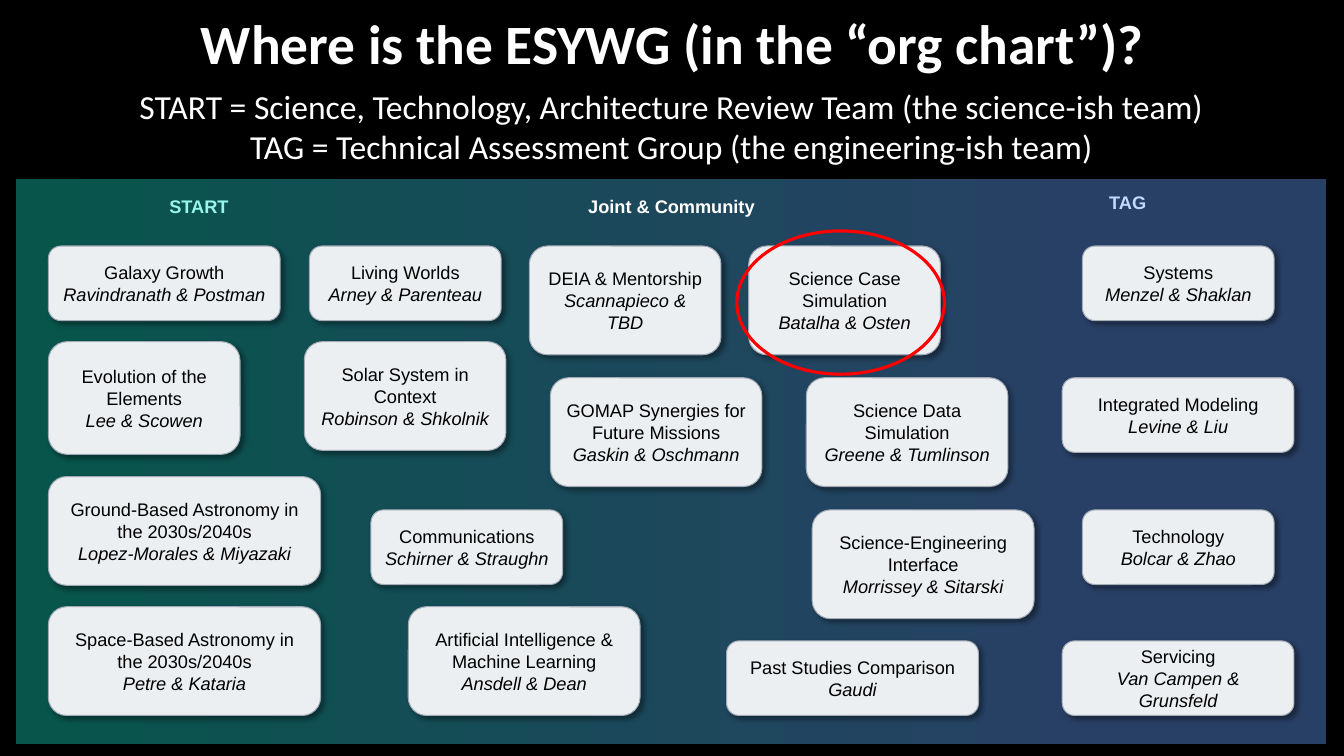
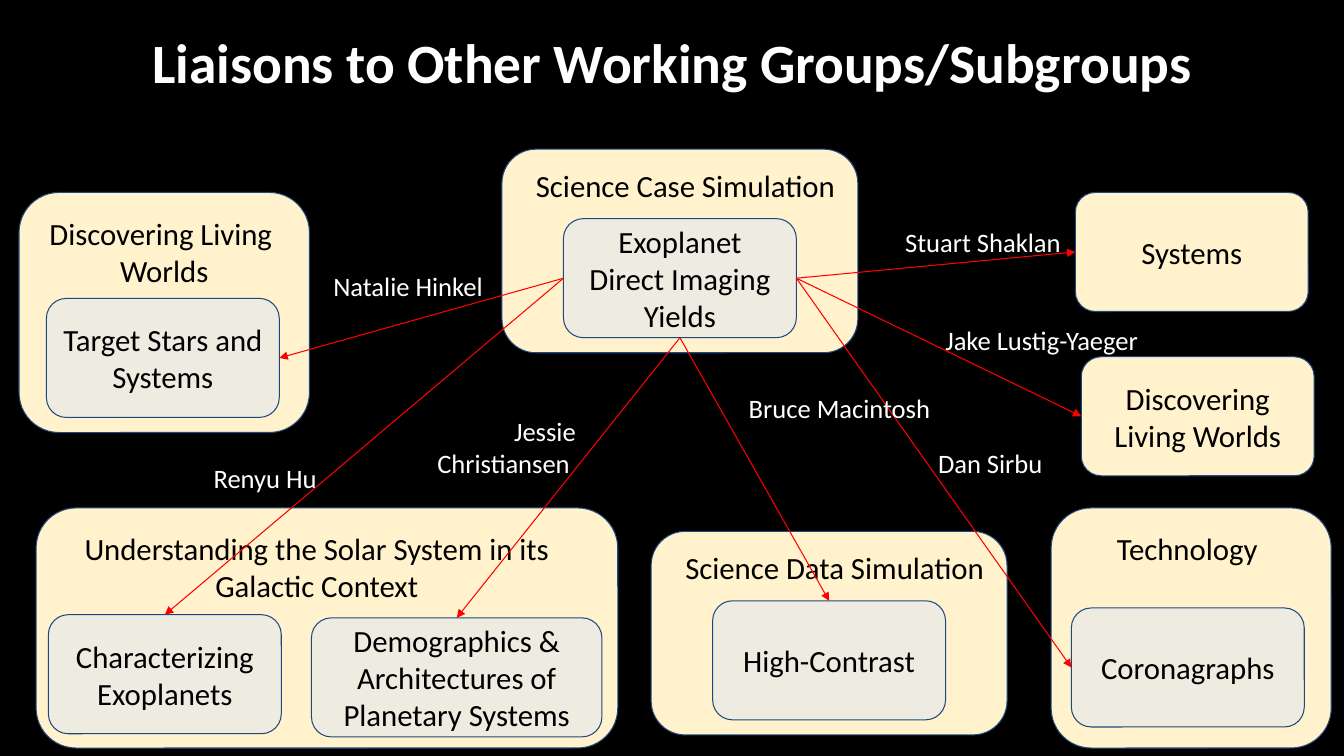
from dataclasses import dataclass, replace

from lxml import etree
from pptx import Presentation
from pptx.dml.color import RGBColor
from pptx.enum.shapes import MSO_CONNECTOR, MSO_SHAPE
from pptx.enum.text import MSO_ANCHOR, PP_ALIGN
from pptx.oxml import parse_xml
from pptx.oxml.ns import nsdecls, qn
from pptx.util import Cm, Pt

BLACK = RGBColor(0x00, 0x00, 0x00)
WHITE = RGBColor(0xFF, 0xFF, 0xFF)
RED = RGBColor(0xFF, 0x00, 0x00)
BAND_GREEN = RGBColor(0x08, 0x55, 0x4C)
BAND_BLUE = RGBColor(0x29, 0x40, 0x66)
START_MINT = RGBColor(0x97, 0xF6, 0xEA)
TAG_BLUE = RGBColor(0xC1, 0xD8, 0xFF)
CARD_FILL = RGBColor(0xEC, 0xEF, 0xF1)
CARD_LINE = RGBColor(0xA1, 0xAA, 0xB6)
GROUP_FILL = RGBColor(0xFF, 0xF2, 0xCC)
SUBGROUP_FILL = RGBColor(0xEE, 0xEC, 0xE1)
BOX_LINE = RGBColor(0x1F, 0x49, 0x7D)

CENTER, LEFT, RIGHT = PP_ALIGN.CENTER, PP_ALIGN.LEFT, PP_ALIGN.RIGHT
TOP, LEFT_SIDE, BOTTOM, RIGHT_SIDE = range(4)  # connection sites
NARROW_INSET, INSET, TITLE_INSET = 0.13, 0.25, 0.33
THIN = 0.75


@dataclass(frozen=True)
class TextStyle:
    font: str
    size: float
    color: RGBColor
    bold: bool = False
    italic: bool = False
    align: PP_ALIGN = CENTER


TITLE = TextStyle("Calibri", 39.6, WHITE, bold=True)
SUBTITLE = TextStyle("Calibri", 24, WHITE)
COLUMN_HEAD = TextStyle("Arial", 13, WHITE, bold=True)
CARD_TOPIC = TextStyle("Arial", 13, BLACK)
CARD_LEADS = replace(CARD_TOPIC, italic=True)
BOX_TEXT = TextStyle("Calibri", 22, BLACK)
LIAISON = TextStyle("Calibri", 19, WHITE)

# Org chart cards: left, top, width, height, topic, leads
SHORT, TALL = 1.88, 2.74
CARDS = [
    (13.34, 6.2, 4.83, TALL, "DEIA & Mentorship", "Scannapieco & TBD"),
    (1.22, 6.2, 5.84, SHORT, "Galaxy Growth", "Ravindranath & Postman"),
    (7.8, 6.2, 4.83, SHORT, "Living Worlds", "Arney & Parenteau"),
    (1.22, 8.61, 4.83, 2.84, "Evolution of the Elements", "Lee & Scowen"),
    (7.67, 8.61, 5.08, TALL, "Solar System in Context", "Robinson & Shkolnik"),
    (9.35, 12.85, 4.83, SHORT, "Communications", "Schirner & Straughn"),
    (13.87, 9.52, 5.33, TALL, "GOMAP Synergies for Future Missions",
     "Gaskin & Oschmann"),
    (18.31, 16.15, 6.35, SHORT, "Past Studies Comparison", "Gaudi"),
    (18.87, 6.2, 4.83, TALL, "Science Case Simulation", "Batalha & Osten"),
    (20.32, 9.52, 5.08, TALL, "Science Data Simulation", "Greene & Tumlinson"),
    (20.47, 12.85, 5.59, TALL, "Science-Engineering Interface",
     "Morrissey & Sitarski"),
    (27.28, 6.2, 4.83, SHORT, "Systems", "Menzel & Shaklan"),
    (27.28, 12.85, 4.83, SHORT, "Technology", "Bolcar & Zhao"),
    (26.77, 9.52, 5.84, SHORT, "Integrated Modeling", "Levine & Liu"),
    (10.29, 15.29, 5.84, TALL, "Artificial Intelligence & Machine Learning",
     "Ansdell & Dean"),
    (1.22, 12.01, 6.86, TALL, "Ground-Based Astronomy in the 2030s/2040s",
     "Lopez-Morales & Miyazaki"),
    (1.22, 15.29, 6.86, TALL, "Space-Based Astronomy in the 2030s/2040s",
     "Petre & Kataria"),
    (26.77, 16.15, 5.84, SHORT, "Servicing", "Van Campen & Grunsfeld"),
]

# Working groups: left, top, width, height, heading lines, heading width, gap
GROUPS = [
    (16.41, 13.39, 8.97, 5.13, ["Science Data Simulation"], 9.25, 0.18),
    (0.48, 4.85, 7.32, 6.05, ["Discovering Living ", "Worlds"], 7.32, 0.3),
    (0.91, 12.8, 14.66, 6.05,
     ["Understanding the Solar System in its Galactic Context"], 14.15, 0.3),
    (26.49, 12.8, 7.06, 6.05, ["Technology"], 6.86, 0.3),
    (12.65, 3.76, 8.97, 5.13, ["Science Case Simulation"], 9.25, 0.18),
]

# Boxes with liaisons: left, top, width, fill, text
BOX_WIDTH, BOX_HEIGHT = 5.87, 3
YIELDS = "Exoplanet Direct Imaging Yields"
BOXES = [
    (14.2, 5.51, BOX_WIDTH, SUBGROUP_FILL, YIELDS),
    (17.96, 15.14, BOX_WIDTH, SUBGROUP_FILL, "High-Contrast"),
    (1.17, 7.52, BOX_WIDTH, SUBGROUP_FILL, "Target Stars and Systems"),
    (1.22, 15.49, BOX_WIDTH, SUBGROUP_FILL, "Characterizing Exoplanets"),
    (7.85, 15.57, 7.32, SUBGROUP_FILL,
     "Demographics & Architectures of Planetary Systems"),
    (27, 15.32, BOX_WIDTH, SUBGROUP_FILL, "Coronagraphs"),
    (27.1, 4.85, BOX_WIDTH, GROUP_FILL, "Systems"),
    (27.25, 8.99, BOX_WIDTH, GROUP_FILL, "Discovering Living Worlds"),
]

# Arrows out of the yields box: start side, target text, target side
ARROWS = [
    (LEFT_SIDE, "Target Stars and Systems", RIGHT_SIDE),
    (LEFT_SIDE, "Characterizing Exoplanets", TOP),
    (BOTTOM, "Demographics & Architectures of Planetary Systems", TOP),
    (BOTTOM, "High-Contrast", TOP),
    (RIGHT_SIDE, "Coronagraphs", LEFT_SIDE),
    (RIGHT_SIDE, "Discovering Living Worlds", LEFT_SIDE),
    (RIGHT_SIDE, "Systems", LEFT_SIDE),
]

# Liaison names: left, top, width, alignment, name
LIAISONS = [
    (6.83, 6.55, 6.91, CENTER, "Natalie Hinkel"),
    (9.76, 10.21, 5, RIGHT, "Jessie Christiansen "),
    (2.74, 11.38, 5.49, RIGHT, "Renyu Hu"),
    (18.62, 9.63, 5.49, LEFT, "Bruce Macintosh"),
    (21.49, 5.44, 5.49, RIGHT, "Stuart Shaklan"),
    (23.44, 7.92, 5.49, RIGHT, "Jake Lustig-Yaeger"),
    (23.39, 11, 5.49, LEFT, "Dan Sirbu"),
]


def write_text(shape, lines, inset_x=INSET, inset_y=INSET, anchor=MSO_ANCHOR.TOP):
    """Fill a shape with one paragraph per (text, style) pair."""
    frame = shape.text_frame
    frame.word_wrap = True
    frame.vertical_anchor = anchor
    frame.margin_left = frame.margin_right = Cm(inset_x)
    frame.margin_top = frame.margin_bottom = Cm(inset_y)
    for index, (text, style) in enumerate(lines):
        paragraph = frame.add_paragraph() if index else frame.paragraphs[0]
        paragraph.alignment = style.align
        run = paragraph.add_run()
        run.text = text
        font = run.font
        font.name, font.size = style.font, Pt(style.size)
        font.bold, font.italic = style.bold, style.italic
        font.color.rgb = style.color


def add_label(slide, left, top, width, height, lines, **insets):
    box = slide.shapes.add_textbox(Cm(left), Cm(top), Cm(width), Cm(height))
    write_text(box, lines, **insets)


def add_preset(slide, preset, left, top, width, height,
               fill=None, line=None, line_width=THIN):
    shape = slide.shapes.add_shape(
        preset, Cm(left), Cm(top), Cm(width), Cm(height))
    shape.shadow.inherit = False
    if fill is None:
        shape.fill.background()
    else:
        shape.fill.solid()
        shape.fill.fore_color.rgb = fill
    if line is None:
        shape.line.fill.background()
    else:
        shape.line.color.rgb = line
        shape.line.width = Pt(line_width)
    return shape


def add_rounded(slide, left, top, width, height, fill, line):
    return add_preset(slide, MSO_SHAPE.ROUNDED_RECTANGLE,
                      left, top, width, height, fill, line)


def add_band(slide, left, top, width, height):
    band = add_preset(slide, MSO_SHAPE.RECTANGLE, left, top, width, height)
    band.fill.gradient()
    band.fill.gradient_angle = 0
    stops = zip(band.fill.gradient_stops, (BAND_GREEN, BAND_BLUE), (0, 0.83))
    for stop, color, position in stops:
        stop.color.rgb = color
        stop.position = position


def add_card(slide, left, top, width, height, topic, leads):
    card = add_rounded(slide, left, top, width, height, CARD_FILL, CARD_LINE)
    effects = card._element.spPr.find(qn("a:effectLst"))
    effects.append(parse_xml(
        f'<a:outerShdw {nsdecls("a")} blurRad="{Pt(4)}" dist="{Pt(3)}" '
        'dir="2700000" algn="bl" rotWithShape="0"><a:srgbClr val="000000">'
        '<a:alpha val="40000"/></a:srgbClr></a:outerShdw>'))
    write_text(card, [(topic, CARD_TOPIC), (leads, CARD_LEADS)],
               inset_y=NARROW_INSET, anchor=MSO_ANCHOR.MIDDLE)


def add_group(slide, left, top, width, height, heading, heading_width, gap):
    add_rounded(slide, left, top, width, height, GROUP_FILL, BOX_LINE)
    add_label(slide, left, top + gap, heading_width, 1.45,
              [(line, BOX_TEXT) for line in heading])


def add_box(slide, left, top, width, fill, text):
    box = add_rounded(slide, left, top, width, BOX_HEIGHT, fill, BOX_LINE)
    write_text(box, [(text, BOX_TEXT)], anchor=MSO_ANCHOR.MIDDLE)
    return box


def add_arrow(slide, start, start_side, end, end_side):
    arrow = slide.shapes.add_connector(MSO_CONNECTOR.STRAIGHT, 0, 0, 0, 0)
    arrow.begin_connect(start, start_side)
    arrow.end_connect(end, end_side)
    arrow.line.color.rgb = RED
    arrow.line.width = Pt(THIN)
    etree.SubElement(arrow.line._get_or_add_ln(), qn("a:tailEnd"), type="triangle")
    etree.SubElement(arrow._element.spPr, qn("a:effectLst"))


def add_titled_slide(presentation, title, title_top):
    slide = presentation.slides.add_slide(presentation.slide_layouts[6])
    slide.background.fill.solid()
    slide.background.fill.fore_color.rgb = BLACK
    add_label(slide, 1.17, title_top, 31.55, 2.11, [(title, TITLE)],
              inset_x=TITLE_INSET, inset_y=TITLE_INSET)
    return slide


def build_org_chart(presentation):
    slide = add_titled_slide(
        presentation, "Where is the ESYWG (in the “org chart”)?", -0.1)
    add_band(slide, 0.41, 4.52, 33.02, 14.22)
    for left, top, width, text, color in [
        (3.2, 4.78, 3.63, "START", START_MINT),
        (13.49, 4.78, 6.86, "Joint & Community", WHITE),
        (27, 4.7, 2.84, "TAG", TAG_BLUE),
    ]:
        add_label(slide, left, top, width, 0.81,
                  [(text, replace(COLUMN_HEAD, color=color))],
                  inset_y=NARROW_INSET)
    for card in CARDS:
        add_card(slide, *card)
    add_preset(slide, MSO_SHAPE.OVAL, 18.57, 5.82, 5.23, 3.61,
               line=RED, line_width=2.25)
    add_label(slide, 0.41, 2.03, 33.02, 2.31, [
        ("START = Science, Technology, Architecture Review Team "
         "(the science-ish team)", SUBTITLE),
        ("TAG = Technical Assessment Group (the engineering-ish team)", SUBTITLE),
    ], inset_y=NARROW_INSET)


def build_liaisons(presentation):
    slide = add_titled_slide(
        presentation, "Liaisons to Other Working Groups/Subgroups", 0.38)
    for group in GROUPS:
        add_group(slide, *group)
    boxes = {box[-1]: add_box(slide, *box) for box in BOXES}
    for start_side, target, end_side in ARROWS:
        add_arrow(slide, boxes[YIELDS], start_side, boxes[target], end_side)
    for left, top, width, align, name in LIAISONS:
        add_label(slide, left, top, width, 1.32,
                  [(name, replace(LIAISON, align=align))])


def main():
    presentation = Presentation()
    presentation.slide_width, presentation.slide_height = Cm(33.87), Cm(19.05)
    build_org_chart(presentation)
    build_liaisons(presentation)
    presentation.save("out.pptx")


if __name__ == "__main__":
    main()
